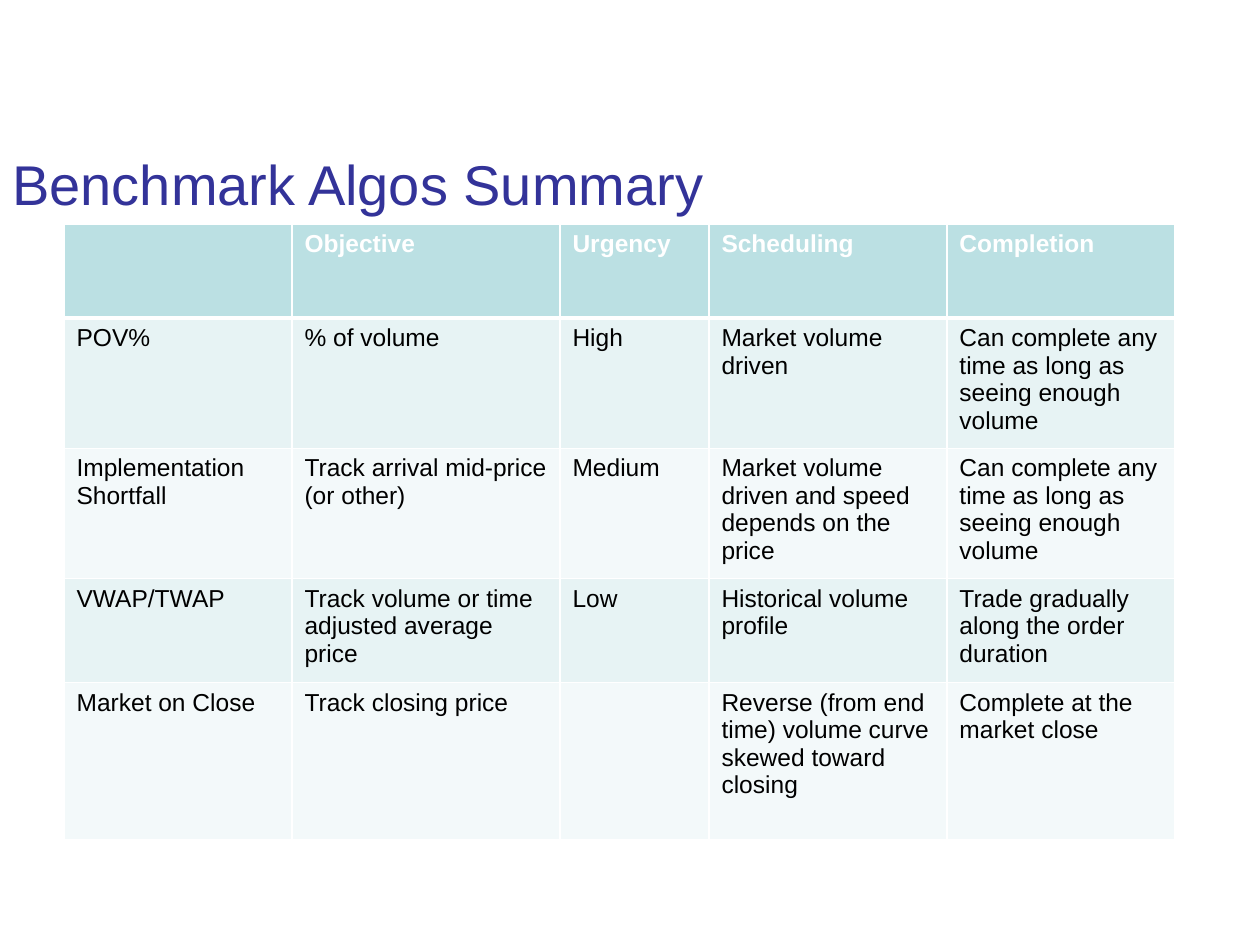
from dataclasses import dataclass

from lxml import etree
from pptx import Presentation
from pptx.dml.color import RGBColor
from pptx.enum import text
from pptx.oxml import ns
from pptx.util import Emu, Pt

SCALE = 914400 / 126  # EMU in one px

WHITE = RGBColor(0xFF, 0xFF, 0xFF)
BLACK = RGBColor(0, 0, 0)
NAVY = RGBColor(0x33, 0x33, 0x99)
TEAL = RGBColor(0xBB, 0xE0, 0xE3)
BANDS = (RGBColor(0xE7, 0xF3, 0xF4), RGBColor(0xF3, 0xF9, 0xFA))


@dataclass
class Box:
    left: int
    top: int
    width: int
    height: int


@dataclass
class Row:
    height: int
    words: tuple[str, ...]


COLS = (228, 268, 149, 238, 228)
ROWS = (
    Row(94, ("", "Objective", "Urgency", "Scheduling", "Completion")),
    Row(128, ("POV%", "% of volume", "High", "Market volume driven",
              "Can complete any time as long as seeing enough volume")),
    Row(123, ("Implementation Shortfall", "Track arrival mid-price (or other)",
              "Medium", "Market volume driven and speed depends on the price",
              "Can complete any time as long as seeing enough volume")),
    Row(104, ("VWAP/TWAP", "Track volume or time adjusted average price", "Low",
              "Historical volume profile",
              "Trade gradually along the order duration")),
    Row(157, ("Market on Close", "Track closing price", "",
              "Reverse (from end time) volume curve skewed toward closing",
              "Complete at the market close")),
)
TITLE = Box(0, 86, 1113, 137)
GRID = Box(64, 224, sum(COLS), sum(row.height for row in ROWS))


def px(size: int) -> Emu:
    return Emu(round(size * SCALE))


def place(box: Box) -> tuple[Emu, ...]:
    return px(box.left), px(box.top), px(box.width), px(box.height)


def style(font, size: int, color: RGBColor, bold: bool = False) -> None:
    font.name, font.size, font.bold = "Arial", Pt(size), bold
    font.color.rgb = color


def edge(cell, side: str, width: int) -> None:
    line = etree.Element(ns.qn(f"a:ln{side}"), w=str(Pt(width)))
    fill = etree.SubElement(line, ns.qn("a:solidFill"))
    etree.SubElement(fill, ns.qn("a:srgbClr"), val=str(WHITE))
    cell.append(line)


def draw_cell(cell, words: str, row: int) -> None:
    head = row == 0
    # Borders come before the fill in the cell properties
    props = cell._tc.get_or_add_tcPr()
    for side in "LRTB":
        thick = (head and side == "B") or (row == 1 and side == "T")
        edge(props, side, 3 if thick else 1)
    cell.fill.solid()
    cell.fill.fore_color.rgb = TEAL if head else BANDS[(row - 1) % 2]
    if words:
        cell.text_frame.text = words
        run = cell.text_frame.paragraphs[0].runs[0]
        style(run.font, 14, WHITE if head else BLACK, head)


def draw_title(slide, words: str) -> None:
    frame = slide.shapes.add_textbox(*place(TITLE)).text_frame
    frame.word_wrap = True
    frame.vertical_anchor = text.MSO_ANCHOR.BOTTOM
    frame.text = words
    style(frame.paragraphs[0].runs[0].font, 32, NAVY)


def draw_table(slide) -> None:
    table = slide.shapes.add_table(len(ROWS), len(COLS), *place(GRID)).table
    for col, width in zip(table.columns, COLS):
        col.width = px(width)
    for r, row in enumerate(ROWS):
        table.rows[r].height = px(row.height)
        for c, words in enumerate(row.words):
            draw_cell(table.cell(r, c), words, r)


def main() -> None:
    deck = Presentation()
    deck.slide_width, deck.slide_height = px(1260), px(945)
    slide = deck.slides.add_slide(deck.slide_layouts[6])
    draw_title(slide, "Benchmark Algos Summary")
    draw_table(slide)
    deck.save("out.pptx")


if __name__ == "__main__":
    main()
